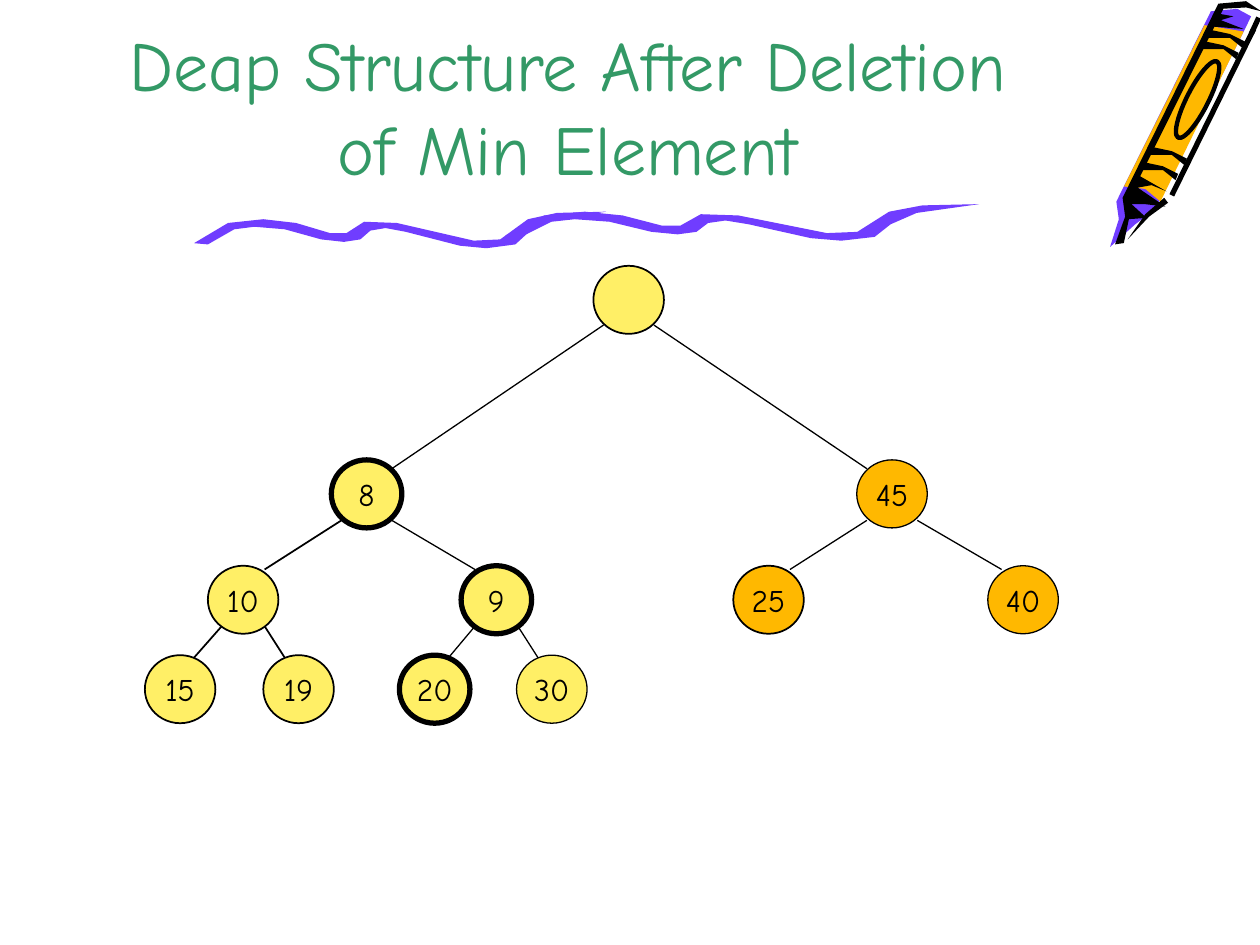
from lxml import etree
from pptx import Presentation
from pptx.dml.color import RGBColor
from pptx.enum.shapes import MSO_CONNECTOR, MSO_SHAPE
from pptx.enum.text import MSO_ANCHOR, PP_ALIGN
from pptx.oxml.ns import qn
from pptx.util import Inches, Pt

OVAL = MSO_SHAPE.OVAL
STRAIGHT = MSO_CONNECTOR.STRAIGHT
CENTER = PP_ALIGN.CENTER
MIDDLE, BOTTOM = MSO_ANCHOR.MIDDLE, MSO_ANCHOR.BOTTOM
color = RGBColor.from_string

BLACK, PURPLE, ORANGE, YELLOW, GREEN = "000000", "703DFF", "FFB800", "FFEF66", "339966"

presentation = Presentation()
presentation.slide_width, presentation.slide_height = Inches(10), Inches(7.5)
slide = presentation.slides.add_slide(presentation.slide_layouts[6])
shapes = slide.shapes


def write_text(shape, text, size, fill, anchor, wrap):
    frame = shape.text_frame
    frame.word_wrap = wrap
    frame.vertical_anchor = anchor
    paragraph = frame.paragraphs[0]
    paragraph.alignment = CENTER
    run = paragraph.add_run()
    run.text = text
    run.font.name = "Comic Neue"
    run.font.size = Pt(size)
    run.font.color.rgb = color(fill)


def add_line(start_x, start_y, end_x, end_y, width):
    line = shapes.add_connector(STRAIGHT, Inches(start_x), Inches(start_y),
                                Inches(end_x), Inches(end_y))
    line.line.color.rgb = color(BLACK)
    line.line.width = Pt(width)
    etree.SubElement(line._element.spPr, qn("a:effectLst"))


# Crayon: body, wrapper, tip, cap and left edge
outlines = [
    (PURPLE, [(9.93, 0.13), (9.17, 1.66), (9.01, 1.78), (8.81, 1.96), (8.88, 1.74),
              (8.86, 1.6), (9.61, 0.09), (9.82, 0.07)]),
    (ORANGE, [(9.21, 1.6), (9.09, 1.5), (8.92, 1.48), (9.56, 0.2), (9.87, 0.25)]),
    (BLACK, [(9.27, 1.61), (9.12, 1.72), (8.95, 1.9), (9.09, 1.7), (9.24, 1.57)]),
    (BLACK, [(9.87, 0.23), (9.61, 0.21), (9.68, 0.11), (9.79, 0.13), (9.69, 0.16)]),
    (BLACK, [(9.25, 1.64), (9.03, 1.49), (9.14, 1.47), (9.26, 1.52), (9.05, 1.4),
             (9.71, 0.07), (9.89, 0.06), (10.01, 0.09), (9.89, 0.01), (9.67, 0.03),
             (8.91, 1.57), (8.93, 1.72), (8.85, 1.94), (8.92, 1.93), (8.96, 1.74),
             (9.1, 1.73), (8.98, 1.62), (9.08, 1.62)]),
]

# Four equal bands across the wrapper
band = [(9.4, 1.31), (9.3, 1.23), (9.13, 1.23), (9.16, 1.17), (9.3, 1.2), (9.42, 1.26)]
for shift_x, shift_y in [(0, 0), (-0.07, 0.12), (0.41, -0.84), (0.46, -0.93)]:
    outlines.append((BLACK, [(x + shift_x, y + shift_y) for x, y in band]))

# Underline: one wave drawn twice, the second wider and a little higher
wave = [(1.65, 1.94), (1.86, 1.82), (2.02, 1.8), (2.26, 1.82), (2.55, 1.9), (2.73, 1.92),
        (2.86, 1.9), (2.94, 1.83), (3.06, 1.81), (3.22, 1.84), (3.65, 1.95), (3.86, 1.97),
        (4.09, 1.94), (4.2, 1.84), (4.38, 1.75), (4.81, 1.68), (4.42, 1.69), (4.19, 1.74),
        (3.97, 1.9), (3.76, 1.91), (3.15, 1.77), (2.89, 1.76), (2.75, 1.85), (2.62, 1.85),
        (2.35, 1.77), (2.09, 1.74), (1.81, 1.77), (1.54, 1.93)]
wave_left = 1.54
for left, top_shift, stretch in [(wave_left, 0, 1), (4.01, -0.06, 1.15)]:
    outlines.append((PURPLE, [(left + (x - wave_left) * stretch, y + top_shift)
                              for x, y in wave]))

for fill, corners in outlines:
    points = [(Inches(x), Inches(y)) for x, y in corners]
    builder = shapes.build_freeform(*points[0])
    builder.add_line_segments(points[1:], close=True)
    outline = builder.convert_to_shape()
    outline.shadow.inherit = False
    outline.fill.solid()
    outline.fill.fore_color.rgb = color(fill)
    outline.line.fill.background()

# Crayon ring and right edge
ring = shapes.add_shape(OVAL, Inches(9.42), Inches(0.45), Inches(0.17), Inches(0.68))
ring.rotation = 27
ring.shadow.inherit = False
ring.fill.background()
ring.line.color.rgb = color(BLACK)
ring.line.width = Pt(2.5)
add_line(9.95, 0.23, 9.3, 1.55, 3)
add_line(9.99, 0.14, 9.93, 0.27, 3)

# Title
title = shapes.add_textbox(Inches(0.75), Inches(0), Inches(7.51), Inches(1.55))
write_text(title, "Deap Structure After Deletion of Min Element",
           size=40, fill=GREEN, anchor=BOTTOM, wrap=True)

# Tree nodes, level by level: (left, key, fill, outline width)
node_width, node_height = 0.56, 0.54
levels = [
    (2.11, [(4.71, "", YELLOW, 1)]),
    (3.65, [(2.63, "8", YELLOW, 3), (6.8, "45", ORANGE, 0.75)]),
    (4.49, [(1.65, "10", YELLOW, 1), (3.66, "9", YELLOW, 3),
            (5.82, "25", ORANGE, 1), (7.84, "40", ORANGE, 0.75)]),
    (5.2, [(1.15, "15", YELLOW, 1), (2.09, "19", YELLOW, 1),
           (3.17, "20", YELLOW, 3), (4.1, "30", YELLOW, 0.75)]),
]
for top, nodes in levels:
    for left, key, fill, width in nodes:
        node = shapes.add_shape(OVAL, Inches(left), Inches(top),
                                Inches(node_width), Inches(node_height))
        node.shadow.inherit = False
        node.fill.solid()
        node.fill.fore_color.rgb = color(fill)
        node.line.color.rgb = color(BLACK)
        node.line.width = Pt(width)
        if key:
            write_text(node, key, size=18, fill=BLACK, anchor=MIDDLE, wrap=False)

# Tree edges: offsets from the parent's and the child's centre, per level
edge_offsets = [(0.2, 0.2, 0.2, -0.2), (0.2, 0.21, 0.17, -0.24), (0.17, 0.21, 0.11, -0.25)]
for depth, (parent_x, parent_y, child_x, child_y) in enumerate(edge_offsets):
    parent_top, parents = levels[depth]
    child_top, children = levels[depth + 1]
    for index, child in enumerate(children):
        parent = parents[index // 2]
        side = 1 if index % 2 else -1
        width = 1 if child[1] in ("10", "15", "19") else 0.75
        add_line(parent[0] + node_width / 2 + side * parent_x,
                 parent_top + node_height / 2 + parent_y,
                 child[0] + node_width / 2 - side * child_x,
                 child_top + node_height / 2 + child_y, width)

presentation.save("out.pptx")
